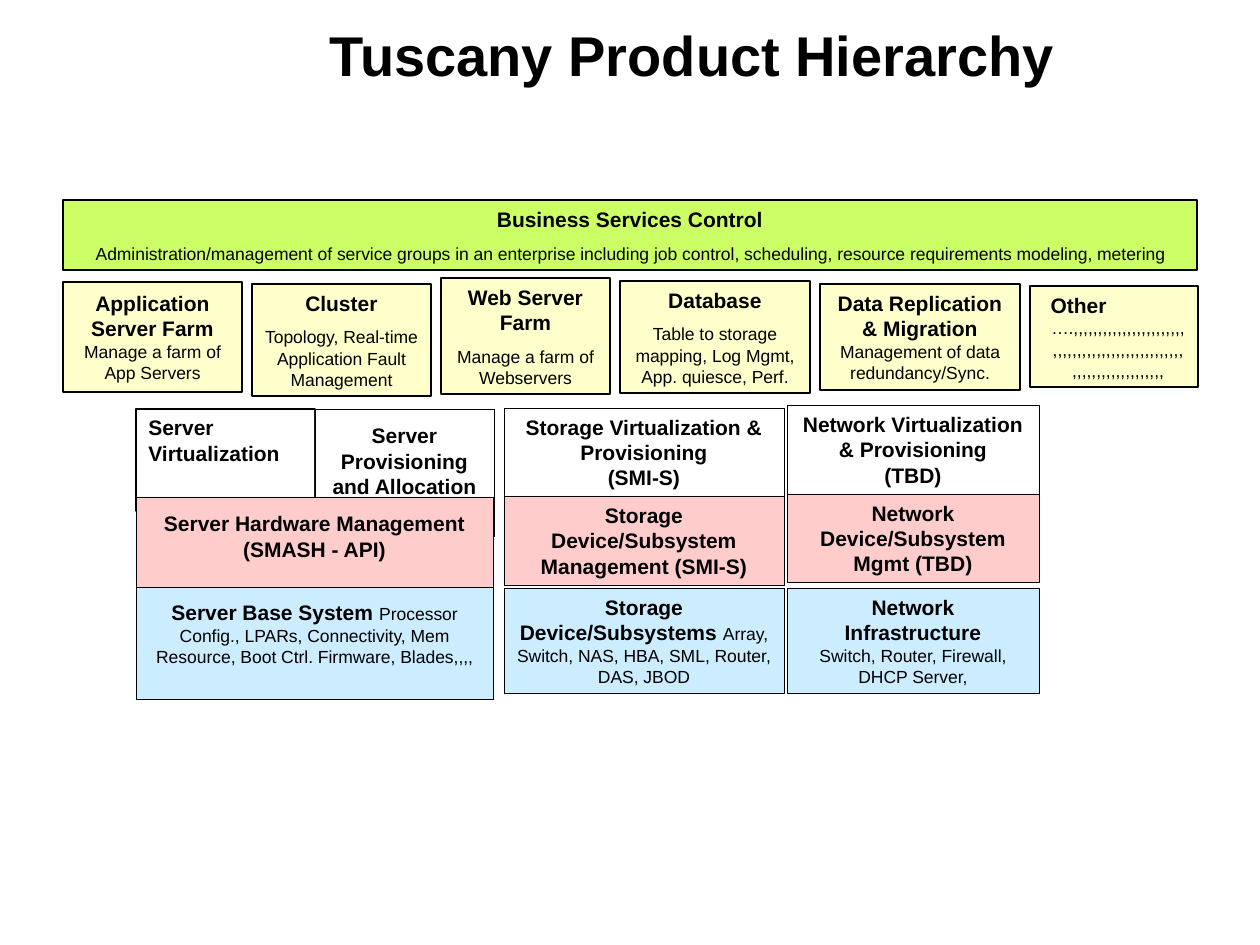
from pptx import Presentation
from pptx.dml.color import RGBColor
from pptx.enum.shapes import MSO_SHAPE
from pptx.enum.text import MSO_ANCHOR, PP_ALIGN

RECTANGLE = MSO_SHAPE.RECTANGLE
TOP, MIDDLE = MSO_ANCHOR.TOP, MSO_ANCHOR.MIDDLE
LEFT, CENTER = PP_ALIGN.LEFT, PP_ALIGN.CENTER

BLACK = RGBColor(0x00, 0x00, 0x00)
WHITE = RGBColor(0xFF, 0xFF, 0xFF)
GREEN = RGBColor(0xCC, 0xFF, 0x66)
YELLOW = RGBColor(0xFF, 0xFF, 0xCC)
PINK = RGBColor(0xFF, 0xCC, 0xCC)
BLUE = RGBColor(0xCC, 0xEC, 0xFF)

TITLE = "Tuscany Product Hierarchy"
BUSINESS = (
    "Business Services Control",
    "Administration/management of service groups in an enterprise including "
    "job control, scheduling, resource requirements modeling, metering",
)

# heading, detail, width, top, height, format
SERVICES = [
    ("Application Server Farm", "Manage a farm of App Servers", 179, 282, 110, {"gap": 0}),
    ("Cluster", "Topology, Real-time Application Fault Management", 179, 284, 112, {}),
    ("Web Server Farm", "Manage a farm of Webservers", 169, 278, 116, {}),
    ("Database", "Table to storage mapping, Log Mgmt, App. quiesce, Perf.", 190, 281, 112, {}),
    ("Data Replication & Migration", "Management of data redundancy/Sync.", 200, 284, 106,
     {"gap": 0}),
    ("Other", "….,,,,,,,,,,,,,,,,,,,,,,,,,,,,,,,,,,,,,,,,,,,,,,,,,,,,,,,,,,,,,,,,,,,,,",
     168, 286, 101, {"gap": 0, "heading_align": LEFT, "heading_indent": 8}),
]
SERVICE_LEFT, SERVICE_GAP = 63, 10

# left, width, then top, height, fill, heading, detail, format of each layer
STACKS = [
    (136, 179, [
        (409, 102, None, "Server Virtualization", "",
         {"heading_align": LEFT, "anchor": TOP, "weight": 1}),
    ]),
    (315, 179, [
        (409, 127, WHITE, "Server Provisioning and Allocation", "",
         {"anchor": TOP, "inset_top": 14}),
    ]),
    (136, 357, [
        (497, 102, PINK, "Server Hardware Management\n(SMASH - API)", "",
         {"anchor": TOP, "inset_top": 14}),
        (587, 112, BLUE, "Server Base System ",
         "Processor Config., LPARs, Connectivity, Mem Resource, Boot Ctrl. Firmware, Blades,,,,",
         {"anchor": TOP, "inset_top": 13, "gap": None}),
    ]),
    (504, 280, [
        (408, 88, WHITE, "Storage Virtualization & Provisioning\n(SMI-S)", "", {}),
        (496, 89, PINK, "Storage Device/Subsystem Management (SMI-S)", "", {}),
        (588, 105, BLUE, "Storage Device/Subsystems ",
         "Array, Switch, NAS, HBA, SML, Router, DAS, JBOD", {"gap": None}),
    ]),
    (787, 252, [
        (405, 89, WHITE, "Network Virtualization & Provisioning\n(TBD)", "", {}),
        (494, 88, PINK, "Network Device/Subsystem Mgmt (TBD)", "", {}),
        (588, 105, BLUE, "Network\nInfrastructure", "Switch, Router, Firewall, DHCP Server,",
         {"gap": 0}),
    ]),
]

EMU_PER_PX = 914400 / 126
POINT = 12700


def px(length):
    return round(length * EMU_PER_PX)


def write_text(paragraph, text, size=12, bold=True, align=CENTER, before=0):
    paragraph.alignment = align
    paragraph.space_before = round(before * POINT)
    for number, line in enumerate(text.split("\n")):
        if number:
            paragraph.add_line_break()
        run = paragraph.add_run()
        run.text = line
        run.font.name = "Arial"
        run.font.size = size * POINT
        run.font.bold = bold
        run.font.color.rgb = BLACK


def add_box(slide, bounds, fill, heading, detail, weight=0.25, anchor=MIDDLE,
            inset_top=6, gap=6.2, heading_align=CENTER, heading_indent=0):
    box = slide.shapes.add_shape(RECTANGLE, *map(px, bounds))
    box.shadow.inherit = False
    if fill is None:
        box.fill.background()
    else:
        box.fill.solid()
        box.fill.fore_color.rgb = fill
    box.line.color.rgb = BLACK
    box.line.width = round(weight * POINT)
    frame = box.text_frame
    frame.word_wrap = True
    frame.vertical_anchor = anchor
    frame.margin_left = px(12.6 + heading_indent)
    frame.margin_right = px(12.6)
    frame.margin_top = px(inset_top)
    frame.margin_bottom = px(6)
    paragraph = frame.paragraphs[0]
    write_text(paragraph, heading, align=heading_align)
    if detail:
        if gap is not None:
            paragraph = frame.add_paragraph()
        write_text(paragraph, detail, size=10, bold=False, before=gap or 0)


def main():
    deck = Presentation()
    deck.slide_width, deck.slide_height = px(1260), px(945)
    slide = deck.slides.add_slide(deck.slide_layouts[5])

    title = slide.shapes.title
    title.left, title.top, title.width, title.height = map(px, (125, 0, 1135, 108))
    title.text_frame.vertical_anchor = MIDDLE
    title.text_frame.word_wrap = True
    write_text(title.text_frame.paragraphs[0], TITLE, size=32)

    add_box(slide, (63, 200, 1134, 70), GREEN, *BUSINESS, weight=0.75)

    left = SERVICE_LEFT
    for heading, detail, width, top, height, look in SERVICES:
        add_box(slide, (left, top, width, height), YELLOW, heading, detail, weight=0.75, **look)
        left += width + SERVICE_GAP

    for left, width, layers in STACKS:
        for top, height, fill, heading, detail, look in layers:
            add_box(slide, (left, top, width, height), fill, heading, detail, **look)

    deck.save("out.pptx")


if __name__ == "__main__":
    main()
